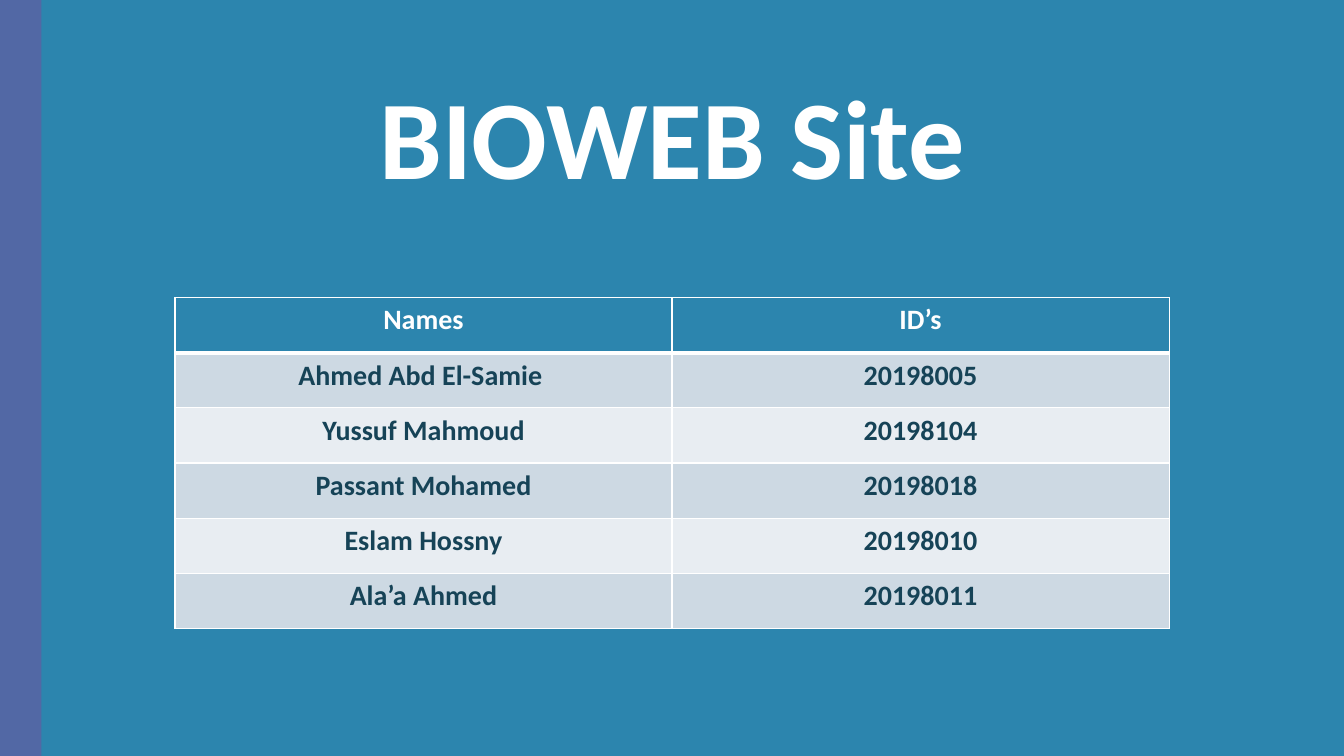
from dataclasses import dataclass

from lxml.etree import SubElement
from pptx import Presentation
from pptx.dml.color import RGBColor
from pptx.enum.shapes import MSO_SHAPE
from pptx.enum.text import MSO_ANCHOR, MSO_AUTO_SIZE, PP_ALIGN
from pptx.oxml.ns import qn
from pptx.slide import Slide
from pptx.table import _Cell
from pptx.text.text import _Paragraph
from pptx.util import Inches, Pt

SLIDE_WIDTH, SLIDE_HEIGHT = Inches(13.33), Inches(7.5)
FONT = "Calibri"
COLOURS = {
    "white": "FFFFFF",
    "blue": "2C85AE",
    "violet": "5268A5",
    "navy": "164357",
    "band_dark": "CDD9E3",
    "band_light": "E8EDF2",
}


@dataclass(frozen=True)
class Area:
    """A place on the slide, in percent of its width and height."""
    left: float
    top: float
    width: float
    height: float

    def box(self) -> tuple[int, int, int, int]:
        return (
            int(SLIDE_WIDTH * self.left / 100),
            int(SLIDE_HEIGHT * self.top / 100),
            int(SLIDE_WIDTH * self.width / 100),
            int(SLIDE_HEIGHT * self.height / 100),
        )


@dataclass(frozen=True)
class Band:
    area: Area
    fill: str


@dataclass(frozen=True)
class Member:
    name: str
    number: str


# Backdrop bands, from back to front
BANDS = [
    Band(Area(1.65, 0, 98.35, 100), "blue"),
    Band(Area(0, 0, 3.08, 100), "violet"),
]
TITLE_AREA = Area(19.68, 5.4, 60.69, 22.27)
ROSTER_AREA = Area(13.02, 39.37, 73.97, 43.75)
HEADINGS = Member("Names", "ID’s")
MEMBERS = [
    Member("Ahmed Abd El-Samie ", "20198005"),
    Member("Yussuf Mahmoud", "20198104"),
    Member("Passant Mohamed", "20198018"),
    Member("Eslam Hossny", "20198010"),
    Member("Ala’a Ahmed", "20198011"),
]


def colour(key: str) -> RGBColor:
    return RGBColor.from_string(COLOURS[key])


def write(paragraph: _Paragraph, text: str, size: float, ink: str) -> None:
    paragraph.alignment = PP_ALIGN.CENTER
    run = paragraph.add_run()
    run.text = text
    run.font.name = FONT
    run.font.size = Pt(size)
    run.font.bold = True
    run.font.color.rgb = colour(ink)


def add_borders(cell: _Cell, widths: dict[str, float]) -> None:
    properties = cell._tc.get_or_add_tcPr()
    for side, width in widths.items():
        border = SubElement(properties, qn(f"a:ln{side}"), w=str(Pt(width)))
        fill = SubElement(border, qn("a:solidFill"))
        SubElement(fill, qn("a:srgbClr"), val=COLOURS["white"])


def draw_band(slide: Slide, band: Band) -> None:
    shape = slide.shapes.add_shape(MSO_SHAPE.RECTANGLE, *band.area.box())
    shape.shadow.inherit = False
    shape.fill.solid()
    shape.fill.fore_color.rgb = colour(band.fill)
    shape.line.fill.background()


def draw_title(slide: Slide) -> None:
    title = slide.shapes.title
    title.left, title.top, title.width, title.height = TITLE_AREA.box()
    frame = title.text_frame
    frame.auto_size = MSO_AUTO_SIZE.NONE
    frame.word_wrap = True
    frame.vertical_anchor = MSO_ANCHOR.BOTTOM
    heading = frame.paragraphs[0]
    heading.line_spacing = 0.9
    write(heading, "BIOWEB Site", 80, "white")
    # Bring the title in front of the backdrop
    slide.shapes._spTree.append(title._element)


def draw_roster(slide: Slide) -> None:
    entries = [HEADINGS, *MEMBERS]
    roster = slide.shapes.add_table(len(entries), 2, *ROSTER_AREA.box()).table
    for row, member in enumerate(entries):
        if row == 0:
            fill, ink = "blue", "white"
        else:
            fill, ink = ("band_dark" if row % 2 else "band_light"), "navy"
        # The rule under the headings is thicker than the others
        widths = {"L": 1, "R": 1, "T": 3 if row == 1 else 1, "B": 3 if row == 0 else 1}
        for column, text in enumerate((member.name, member.number)):
            cell = roster.cell(row, column)
            cell.margin_left = cell.margin_right = Pt(8)
            cell.margin_top = cell.margin_bottom = Pt(4)
            add_borders(cell, widths)
            cell.fill.solid()
            cell.fill.fore_color.rgb = colour(fill)
            write(cell.text_frame.paragraphs[0], text, 20, ink)


def main() -> None:
    presentation = Presentation()
    presentation.slide_width = SLIDE_WIDTH
    presentation.slide_height = SLIDE_HEIGHT
    slide = presentation.slides.add_slide(presentation.slide_layouts[5])

    # Backdrop
    for band in BANDS:
        draw_band(slide, band)

    # Title and team roster
    draw_title(slide)
    draw_roster(slide)
    presentation.save("out.pptx")


if __name__ == "__main__":
    main()
